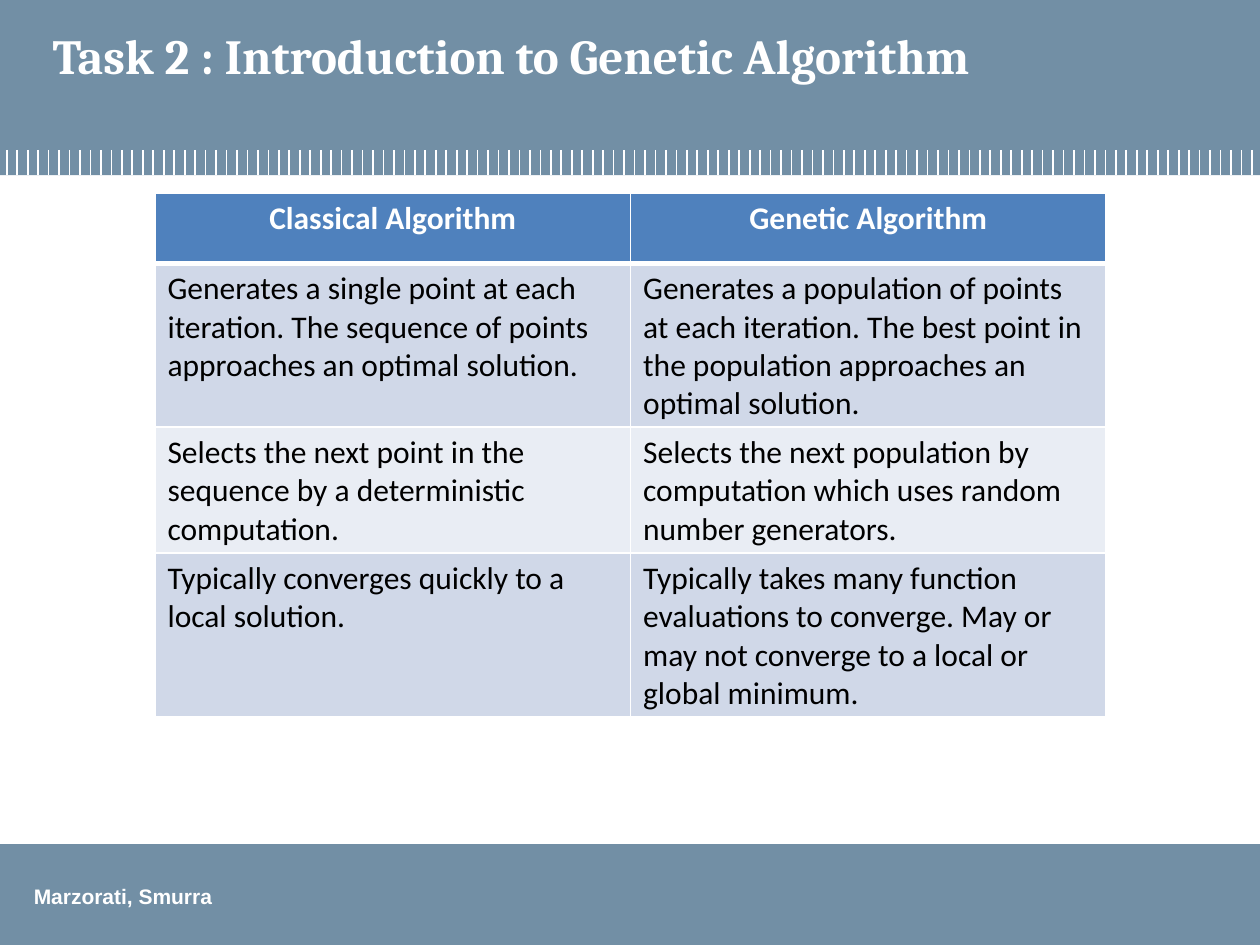
import pptx
import pptx.dml.color
import pptx.enum.shapes
import pptx.enum.text
import pptx.oxml
import pptx.oxml.ns
import pptx.util
from lxml import etree

COLORS = {
    "band": "728FA5", "white": "FFFFFF", "black": "000000",
    "header": "4F81BD", "odd": "D0D8E8", "even": "E9EDF4",
}
WIDTH, HEIGHT = 10, 7.5      # inches
COLS, ROWS = 100, 75         # layout grid

TITLE = "Task 2 : Introduction to Genetic Algorithm"
AUTHORS = "Marzorati, Smurra"
COMPARISON = [
    ("Classical Algorithm", "Genetic Algorithm"),
    ("Generates a single point at each iteration. The sequence of points "
     "approaches an optimal solution.",
     "Generates a population of points at each iteration. The best point in "
     "the population approaches an optimal solution."),
    ("Selects the next point in the sequence by a deterministic computation.",
     "Selects the next population by computation which uses random number "
     "generators."),
    ("Typically converges quickly to a local solution.",
     "Typically takes many function evaluations to converge. May or may not "
     "converge to a local or global minimum."),
]


def rgb(name):
    return pptx.dml.color.RGBColor.from_string(COLORS[name])


def write(tf, text, *, font, size, color, bold=False, align="LEFT"):
    p = tf.paragraphs[0]
    p.alignment = getattr(pptx.enum.text.PP_ALIGN, align)
    r = p.add_run()
    r.text = text
    r.font.name, r.font.size, r.font.bold = font, pptx.util.Pt(size), bold
    r.font.color.rgb = rgb(color)


class Deck:
    def __init__(self):
        self.prs = pptx.Presentation()
        self.prs.slide_width = pptx.util.Inches(WIDTH)
        self.prs.slide_height = pptx.util.Inches(HEIGHT)
        self.s = self.prs.slides.add_slide(self.prs.slide_layouts[6])

    def x(self, cols):
        return round(self.prs.slide_width * cols / COLS)

    def y(self, rows):
        return round(self.prs.slide_height * rows / ROWS)

    def box(self, x, y, w, h):
        return self.x(x), self.y(y), self.x(w), self.y(h)

    def band(self, top, height):
        sp = self.s.shapes.add_shape(
            pptx.enum.shapes.MSO_SHAPE.RECTANGLE, *self.box(0, top, COLS, height))
        sp.shadow.inherit = False
        sp.fill.solid()
        sp.fill.fore_color.rgb = rgb("band")
        sp.line.fill.background()

    def tick(self, x, top, bottom):
        cx = self.s.shapes.add_connector(
            pptx.enum.shapes.MSO_CONNECTOR.STRAIGHT,
            self.x(x), self.y(top), self.x(x), self.y(bottom))
        cx.line.color.rgb = rgb("white")
        cx.line.width = pptx.util.Pt(1)
        etree.SubElement(cx._element.spPr, pptx.oxml.ns.qn("a:effectLst"))

    def text(self, place, text, wrap=True, **style):
        tf = self.s.shapes.add_textbox(*self.box(*place)).text_frame
        tf.word_wrap = wrap
        write(tf, text, color="white", bold=True, **style)

    def borders(self, cell, **widths):
        tcPr = cell._tc.get_or_add_tcPr()
        for i, side in enumerate("LRTB"):
            tcPr.insert(i, pptx.oxml.parse_xml(
                f'<a:ln{side} {pptx.oxml.ns.nsdecls("a")} '
                f'w="{pptx.util.Pt(widths.get(side, 1))}"><a:solidFill>'
                f'<a:srgbClr val="{COLORS["white"]}"/></a:solidFill></a:ln{side}>'))

    def table(self, place, row_height, rows):
        frame = self.s.shapes.add_table(len(rows), len(rows[0]), *self.box(*place))
        for i, texts in enumerate(rows):
            frame.table.rows[i].height = self.y(row_height)
            head = i == 0
            fill = "header" if head else "odd" if i % 2 else "even"
            rule = {0: {"B": 3}, 1: {"T": 3}}.get(i, {})
            for j, text in enumerate(texts):
                cell = frame.table.cell(i, j)
                cell.fill.solid()
                cell.fill.fore_color.rgb = rgb(fill)
                self.borders(cell, **rule)
                write(cell.text_frame, text, font="Calibri", size=18, bold=head,
                      color="white" if head else "black",
                      align="CENTER" if head else "LEFT")
        frame.height = self.y(place[3])


def main():
    deck = Deck()

    # Header and footer bands
    deck.band(0, 13.9)
    deck.band(67, 8)
    deck.text((1.7, 69.6, 16.3, 3), AUTHORS, wrap=False, font="Arial", size=12)

    # Evenly spaced ticks along the header's lower edge
    first, last, count = 0.54, 99.36, 120
    for i in range(count):
        deck.tick(first + i * (last - first) / (count - 1), 11.9, 13.9)

    # Title and comparison table
    deck.text((3.2, 1.5, 93.8, 9.2), TITLE, font="Cambria", size=28)
    deck.table((12.3, 15.3, 75.5, 41.6), 5.6, COMPARISON)

    deck.prs.save("out.pptx")


if __name__ == "__main__":
    main()
